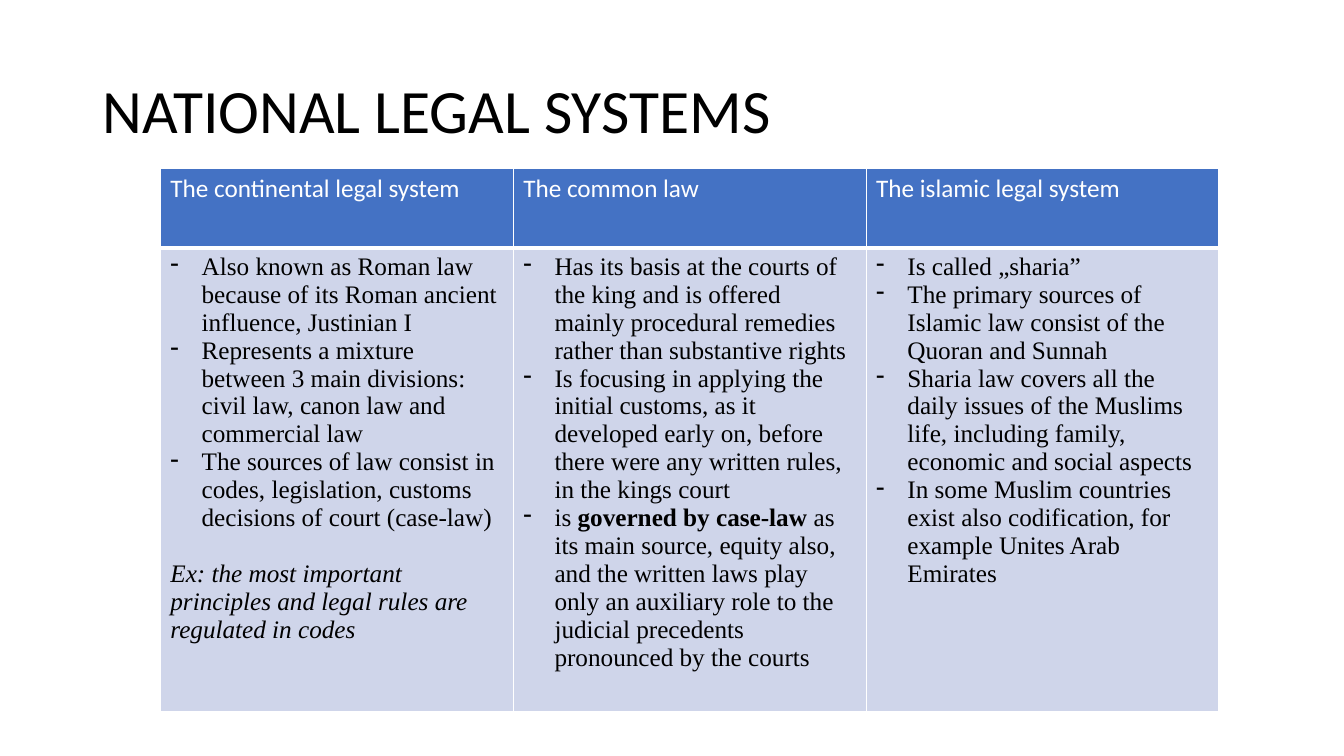
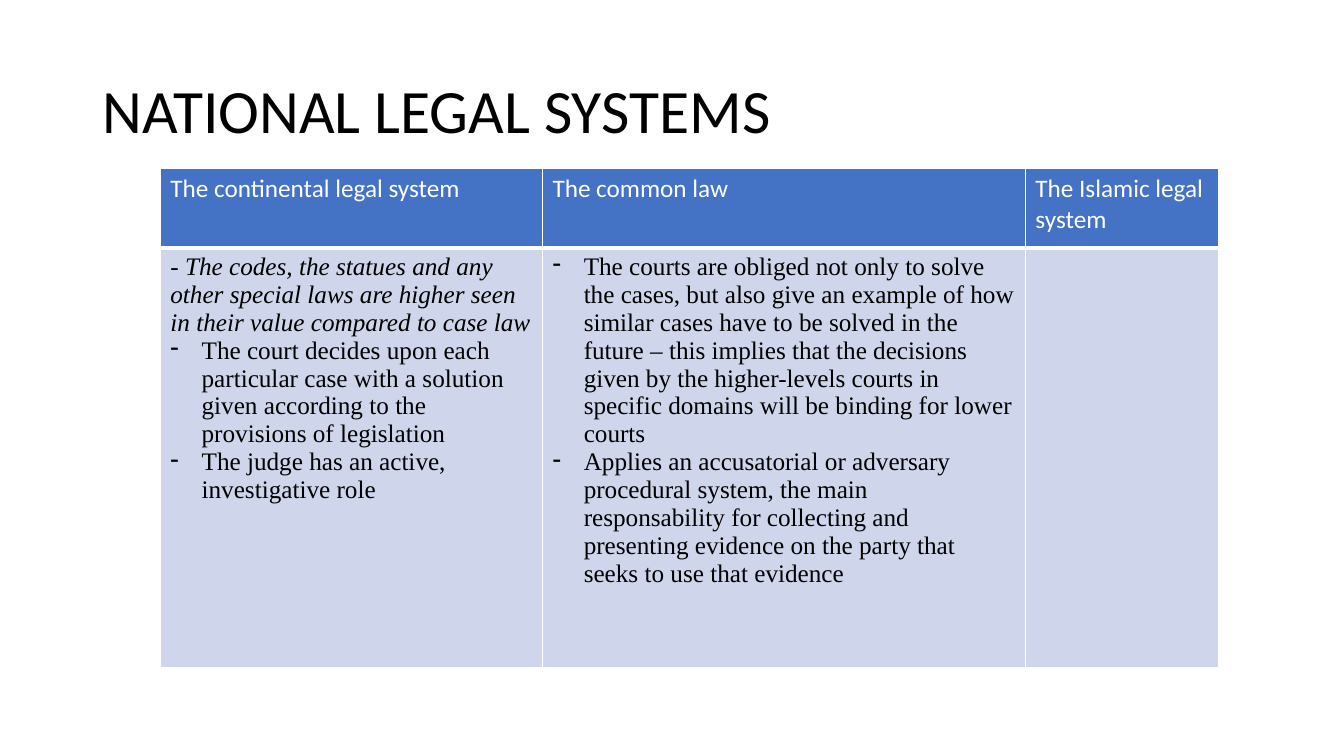
from lxml import etree
from pptx import Presentation
from pptx.dml.color import RGBColor
from pptx.enum.text import MSO_ANCHOR
from pptx.oxml.ns import qn
from pptx.util import Inches, Pt

MIDDLE = MSO_ANCHOR.MIDDLE

# Shared look
COLORS = {"text": "000000", "head": "4472C4", "body": "CFD5EA", "light": "FFFFFF"}
HEAD_FONT, BODY_FONT = "Calibri", "Times New Roman"
TITLE = "NATIONAL LEGAL SYSTEMS"
SLIDE_W, SLIDE_H = 13.33, 7.5
TITLE_BOX = (0.92, 0.4, 11.5, 1.45)
TABLE_LEFT, TABLE_TOP, TABLE_W = 1.59, 1.67, 10.5
HEAD_H = 0.79
HANG = 0.31
BODY_SIZE, LINE_GAP = 18, 20

# Each body cell is a list of paragraphs; each paragraph holds its runs and its format
def point(*runs):
    return {"runs": runs, "bullet": True}


def remark(text, gap=0):
    return {"runs": [(text, {"italic": True})], "gap": gap}


SLIDES = [
    {
        "shares": (1, 1, 1),
        "body_height": 4.52,
        "heads": ("The continental legal system", "The common law",
                  "The islamic legal system"),
        "cells": (
            [point("Also known as Roman law because of its Roman ancient influence, "
                   "Justinian I"),
             point("Represents a mixture between 3 main divisions: civil law, canon "
                   "law and commercial law"),
             point("The sources of law consist in codes, legislation, customs "
                   "decisions of court (case-law)"),
             remark("Ex: the most important principles and legal rules are regulated "
                    "in codes", gap=LINE_GAP)],
            [point("Has its basis at the courts of the king and is offered mainly "
                   "procedural remedies rather than substantive rights"),
             point("Is focusing in applying the initial customs, as it developed "
                   "early on, before there were any written rules, in the kings court"),
             point("is ", ("governed by case-law ", {"bold": True}),
                   "as its main source, equity also, and the written laws play only "
                   "an auxiliary role to the judicial precedents pronounced by the "
                   "courts")],
            [point("Is called „sharia”"),
             point("The primary sources of Islamic law consist of the Quoran and "
                   "Sunnah"),
             point("Sharia law covers all the daily issues of the Muslims life, "
                   "including family, economic and social aspects"),
             point("In some Muslim countries exist also codification, for example "
                   "Unites Arab Emirates")],
        ),
    },
    {
        "shares": (3.79, 4.79, 1.92),
        "body_height": 4.16,
        "heads": ("The continental legal system", "The common law",
                  "The Islamic legal system"),
        "cells": (
            [remark("- The codes, the statues and any other special laws are higher "
                    "seen in their value compared to case law"),
             point("The court decides upon each particular case with a solution given "
                   "according to the provisions of legislation"),
             point("The judge has an active, investigative role")],
            [point("The courts are obliged not only to solve the cases, but also give "
                   "an example of how similar cases have to be solved in the future – "
                   "this implies that the decisions given by the higher-levels courts "
                   "in specific domains will be binding for lower courts"),
             point("Applies an accusatorial or adversary procedural system, the main "
                   "responsability for collecting and presenting evidence on the party "
                   "that seeks to use that evidence")],
            [],
        ),
    },
]


def write(paragraph, text, size=BODY_SIZE, font=BODY_FONT, color="text",
          bold=False, italic=False):
    run = paragraph.add_run()
    run.text = text
    run.font.size = Pt(size)
    run.font.name = font
    run.font.bold = bold
    run.font.italic = italic
    run.font.color.rgb = RGBColor.from_string(COLORS[color])


def add_dash(paragraph):
    properties = paragraph._p.get_or_add_pPr()
    properties.set("marL", str(Inches(HANG)))
    properties.set("indent", str(-Inches(HANG)))
    etree.SubElement(properties, qn("a:buChar")).set("char", "-")


def style_cell(cell, fill, bottom=1):
    """Draw the light borders, then the fill, which must follow them."""
    properties = cell._tc.get_or_add_tcPr()
    for side, width in (("L", 1), ("R", 1), ("T", 1), ("B", bottom)):
        line = etree.SubElement(properties, qn(f"a:ln{side}"), w=str(Pt(width)))
        solid = etree.SubElement(line, qn("a:solidFill"))
        etree.SubElement(solid, qn("a:srgbClr"), val=COLORS["light"])
    cell.fill.solid()
    cell.fill.fore_color.rgb = RGBColor.from_string(COLORS[fill])


def fill_body(cell, paragraphs):
    frame = cell.text_frame
    for index, content in enumerate(paragraphs):
        paragraph = frame.add_paragraph() if index else frame.paragraphs[0]
        if content.get("bullet"):
            add_dash(paragraph)
        if content.get("gap"):
            paragraph.space_before = Pt(content["gap"])
        for run in content["runs"]:
            text, style = (run, {}) if isinstance(run, str) else run
            write(paragraph, text, **style)


def add_title(slide):
    frame = slide.shapes.add_textbox(*map(Inches, TITLE_BOX)).text_frame
    frame.word_wrap = True
    frame.vertical_anchor = MIDDLE
    frame.paragraphs[0].line_spacing = 0.9
    write(frame.paragraphs[0], TITLE, size=44, font=HEAD_FONT)


def add_comparison(slide, shares, body_height, heads, cells):
    table = slide.shapes.add_table(
        2, len(heads), Inches(TABLE_LEFT), Inches(TABLE_TOP),
        Inches(TABLE_W), Inches(HEAD_H + body_height)).table
    table.rows[0].height = Inches(HEAD_H)
    table.rows[1].height = Inches(body_height)
    for column, (share, head, body) in enumerate(zip(shares, heads, cells)):
        table.columns[column].width = Inches(TABLE_W * share / sum(shares))
        head_cell, body_cell = table.cell(0, column), table.cell(1, column)
        style_cell(head_cell, "head", bottom=3)
        write(head_cell.text_frame.paragraphs[0], head, font=HEAD_FONT, color="light")
        style_cell(body_cell, "body")
        fill_body(body_cell, body)


def main():
    deck = Presentation()
    deck.slide_width, deck.slide_height = Inches(SLIDE_W), Inches(SLIDE_H)
    blank = deck.slide_layouts[6]
    for content in SLIDES:
        slide = deck.slides.add_slide(blank)
        add_title(slide)
        add_comparison(slide, **content)
    deck.save("out.pptx")


if __name__ == "__main__":
    main()
